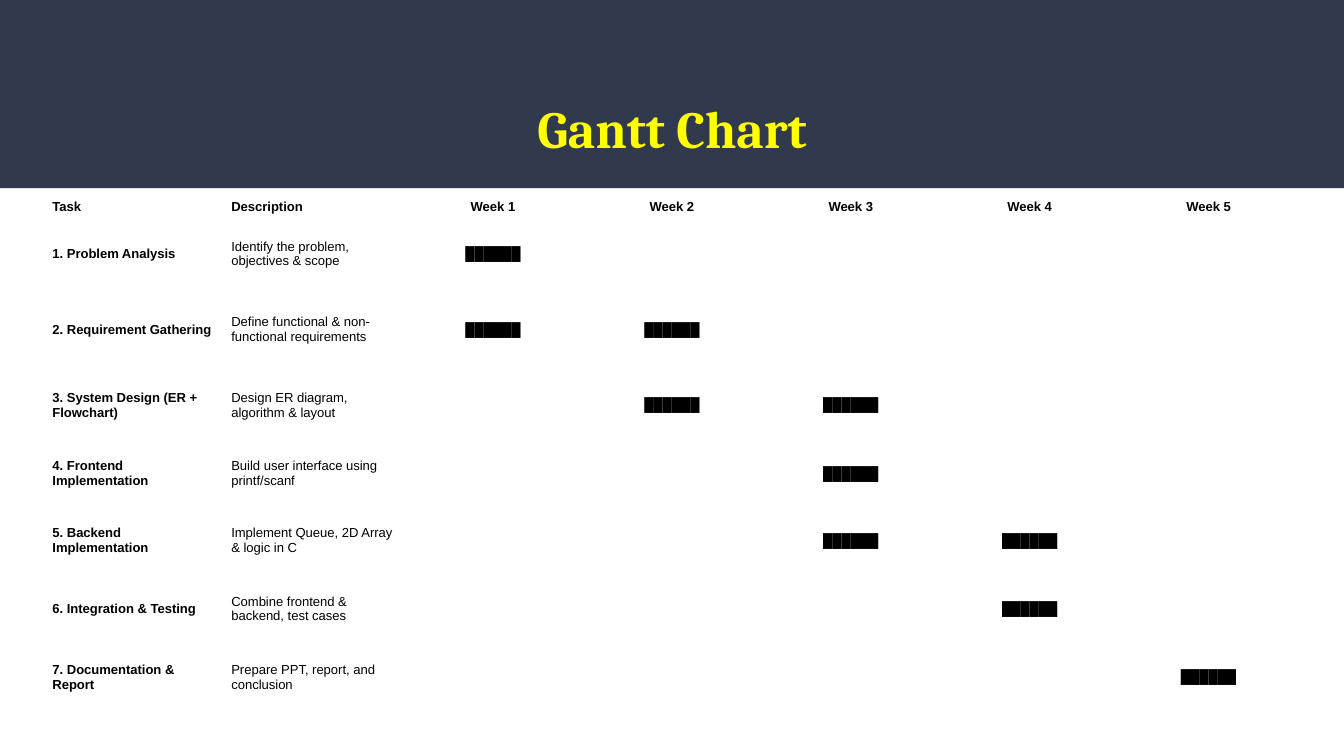
from dataclasses import dataclass

from pptx import Presentation, util as u
from pptx.dml.color import RGBColor
from pptx.enum import shapes, text

NAVY = RGBColor(0x31, 0x39, 0x4D)
YELLOW = RGBColor(0xFF, 0xFF, 0x00)
BLACK = RGBColor(0x00, 0x00, 0x00)

SLIDE_WIDTH = u.Inches(10)
SLIDE_HEIGHT = SLIDE_WIDTH * 9 // 16
TABLE_HEIGHT = 3.84
WEEKS = 5
BAR = "█" * 6
ROW_HEIGHTS = [0.18, 0.52, 0.61, 0.52, 0.5, 0.5, 0.52, 0.5]
CELL_FORMAT = {
    "margin_left": u.Inches(0.05),
    "margin_right": u.Inches(0.05),
    "margin_top": u.Inches(0.02),
    "margin_bottom": u.Inches(0.02),
    "vertical_anchor": text.MSO_ANCHOR.MIDDLE,
}
TITLE_FRAME_FORMAT = {
    "margin_left": u.Inches(0.1),
    "margin_right": u.Inches(0.1),
    "margin_top": u.Inches(0.1),
    "margin_bottom": u.Inches(0.1),
    "vertical_anchor": text.MSO_ANCHOR.TOP,
    "auto_size": text.MSO_AUTO_SIZE.NONE,
    "word_wrap": True,
}


@dataclass
class Task:
    name: str
    description: str
    weeks: tuple[int, ...]


TASKS = [
    Task("1. Problem Analysis", "Identify the problem, objectives & scope", (1,)),
    Task("2. Requirement Gathering", "Define functional & non-functional requirements", (1, 2)),
    Task("3. System Design (ER + Flowchart)", "Design ER diagram, algorithm & layout", (2, 3)),
    Task("4. Frontend Implementation", "Build user interface using printf/scanf", (3,)),
    Task("5. Backend Implementation", "Implement Queue, 2D Array & logic in C", (3, 4)),
    Task("6. Integration & Testing", "Combine frontend & backend, test cases", (4,)),
    Task("7. Documentation & Report", "Prepare PPT, report, and conclusion", (5,)),
]


def apply_format(target, values: dict) -> None:
    for name, value in values.items():
        setattr(target, name, value)


def set_font(font, family: str, size: float, color: RGBColor, bold: bool) -> None:
    apply_format(font, {"name": family, "size": u.Pt(size), "bold": bold})
    font.color.rgb = color


def draw_title(page, wording: str) -> None:
    title = page.shapes.title
    apply_format(title, {
        "left": u.Inches(0.34), "top": u.Inches(0.55),
        "width": u.Inches(9.32), "height": u.Inches(0.68),
    })
    apply_format(title.text_frame, TITLE_FRAME_FORMAT)
    para = title.text_frame.paragraphs[0]
    apply_format(para, {"alignment": text.PP_ALIGN.CENTER, "line_spacing": 1.15})
    span = para.add_run()
    span.text = wording
    set_font(span.font, "Cambria", 28, YELLOW, True)


def draw_band(page) -> None:
    band = page.shapes.add_shape(
        shapes.MSO_SHAPE.RECTANGLE, 0, 0, SLIDE_WIDTH, u.Inches(1.4))
    band.shadow.inherit = False
    band.fill.solid()
    band.fill.fore_color.rgb = NAVY
    band.line.fill.background()
    page.shapes.title.element.addprevious(band.element)


def fill_cell(cell, wording: str, bold: bool, centred: bool) -> None:
    apply_format(cell, CELL_FORMAT)
    cell.fill.background()
    para = cell.text_frame.paragraphs[0]
    para.alignment = text.PP_ALIGN.CENTER if centred else text.PP_ALIGN.LEFT
    set_font(para.font, "Arial", 7, BLACK, bold)
    if wording:
        span = para.add_run()
        span.text = wording
        set_font(span.font, "Arial", 7, BLACK, bold)


def draw_schedule(page, tasks: list[Task]) -> None:
    weeks = range(1, WEEKS + 1)
    rows = [["Task", "Description", *(f"Week {week}" for week in weeks)]]
    for task in tasks:
        bars = (BAR if week in task.weeks else "" for week in weeks)
        rows.append([task.name, task.description, *bars])

    table = page.shapes.add_table(
        len(rows), WEEKS + 2, u.Inches(0.34), u.Inches(1.45),
        u.Inches(9.32), u.Inches(TABLE_HEIGHT)).table
    apply_format(table, {"first_row": False, "horz_banding": False})
    scale = TABLE_HEIGHT / sum(ROW_HEIGHTS)
    for row, height in zip(table.rows, ROW_HEIGHTS):
        row.height = u.Inches(height * scale)
    for r, row in enumerate(rows):
        for c, wording in enumerate(row):
            fill_cell(table.cell(r, c), wording, bold=r == 0 or c == 0, centred=c > 1)


def main() -> None:
    deck = Presentation()
    apply_format(deck, {"slide_width": SLIDE_WIDTH, "slide_height": SLIDE_HEIGHT})
    page = deck.slides.add_slide(deck.slide_layouts[5])
    draw_title(page, "Gantt Chart")
    draw_band(page)
    draw_schedule(page, TASKS)
    deck.save("out.pptx")


if __name__ == "__main__":
    main()
